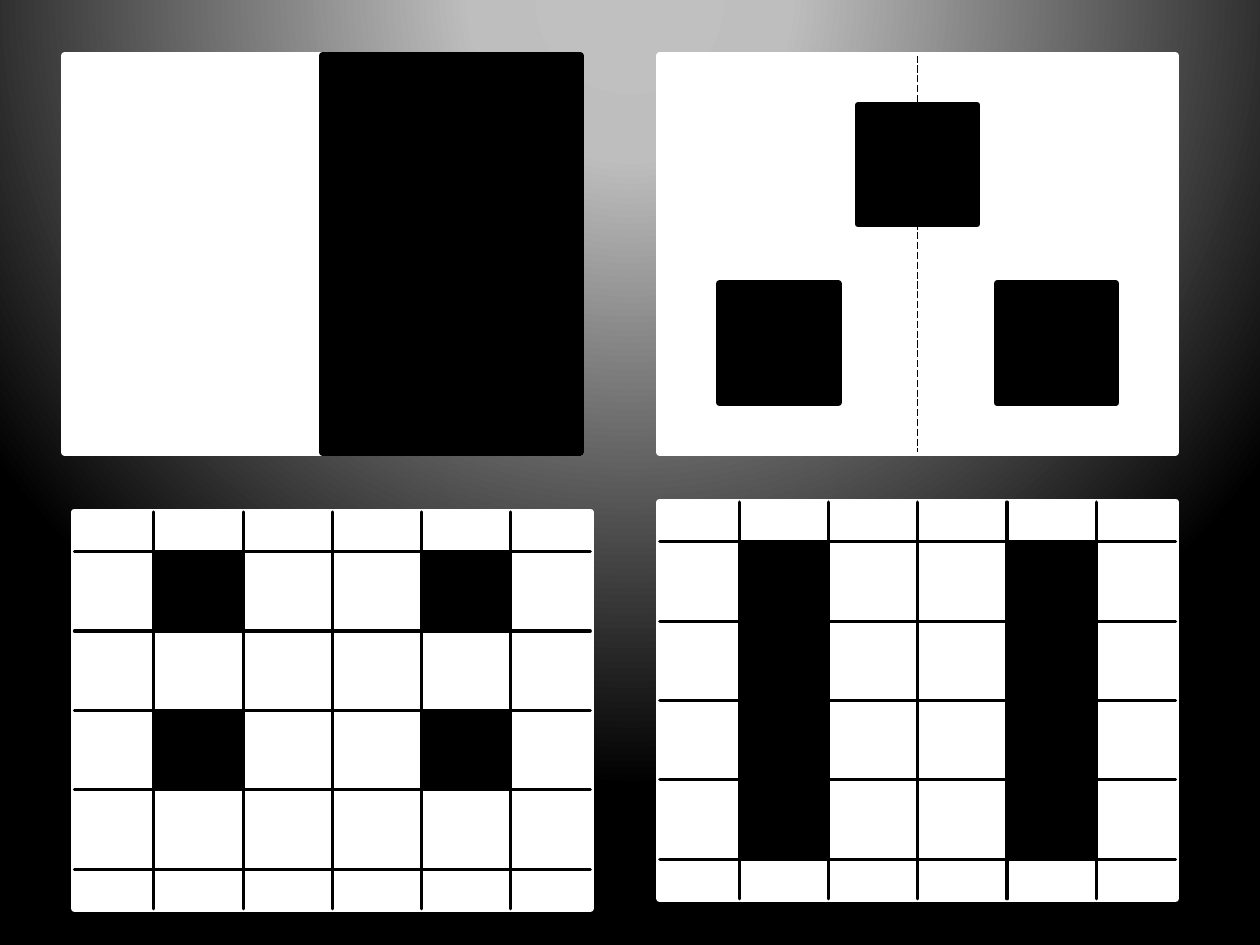
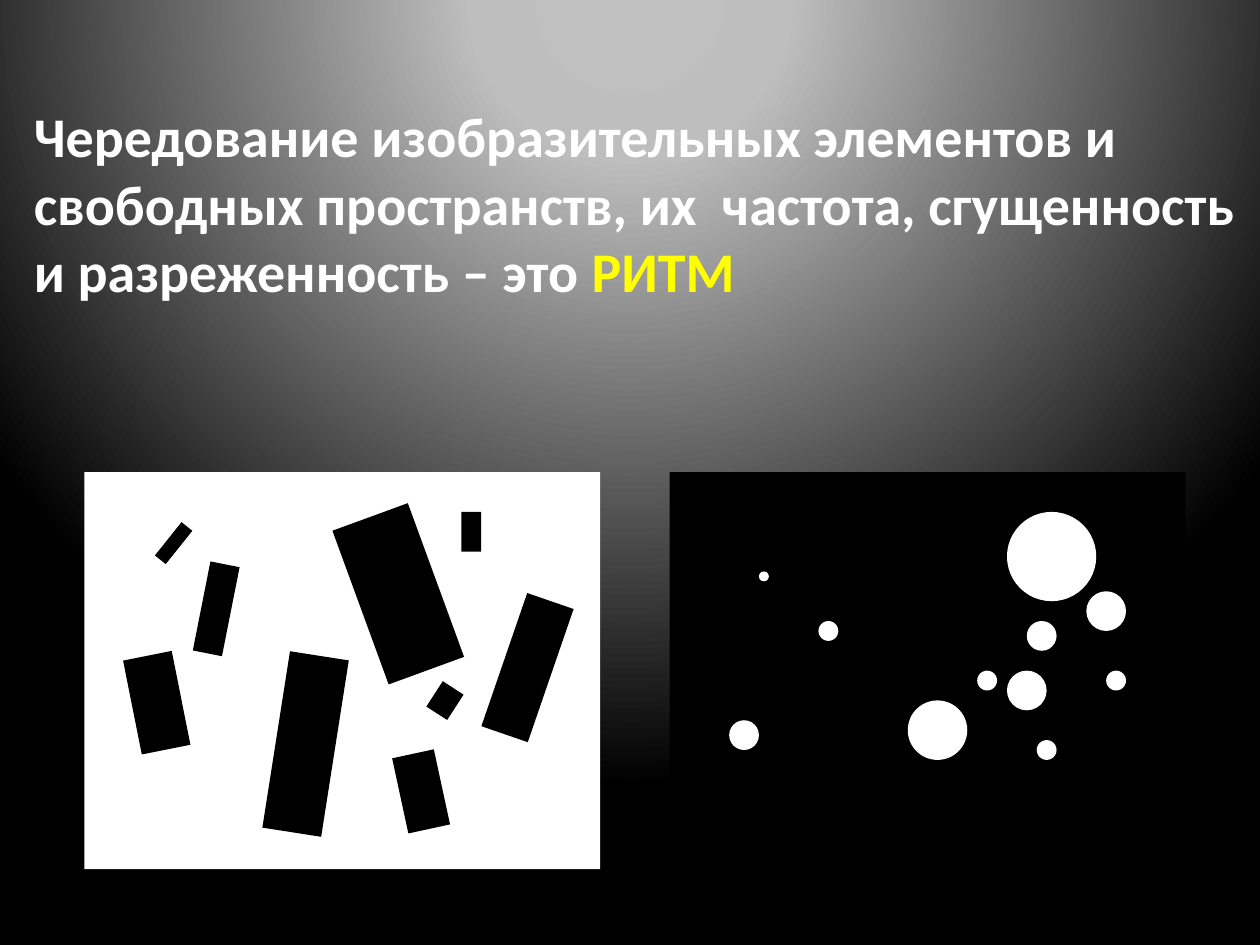
from dataclasses import dataclass
from itertools import product

from lxml import etree
from pptx import Presentation
from pptx.dml.color import RGBColor
from pptx.enum.dml import MSO_LINE
from pptx.enum.shapes import MSO_CONNECTOR, MSO_SHAPE
from pptx.oxml.ns import qn
from pptx.shapes.autoshape import Shape
from pptx.shapes.shapetree import GroupShapes, SlideShapes
from pptx.slide import Slide, SlideMaster
from pptx.util import Inches, Length, Mm, Pt

RECT, OVAL = MSO_SHAPE.RECTANGLE, MSO_SHAPE.OVAL
STRAIGHT, DASH = MSO_CONNECTOR.STRAIGHT, MSO_LINE.LONG_DASH
Tree = SlideShapes | GroupShapes

BLACK, WHITE, YELLOW = "000000", "FFFFFF", "FFFF00"
FONT = "Calibri"
EDGE = 3.78  # panel outline, points

# Every panel is 52 x 40 units of a 2 mm grid
WIDE, HIGH = 52, 40
CELL_W, CELL_H = 9, 8
COLS = [8 + CELL_W * i for i in range(5)]
ROWS = [4 + CELL_H * i for i in range(5)]


@dataclass(frozen=True)
class Panel:
    """Top left corner of a panel, in grid units."""
    left: float
    top: float


@dataclass(frozen=True)
class Block:
    """Figure measured in grid units from the corner of its panel."""
    left: float
    top: float
    wide: float
    high: float
    turn: float = 0


FULL = Block(0, 0, WIDE, HIGH)
HALF = Block(WIDE / 2, 0, WIDE / 2, HIGH)
SQUARES = [Block(x, y, 12, 12) for x, y in ((6, 23), (34, 23), (20, 5))]
BARS = [
    Block(27.6, 4, 8.1, 16.5, -20.1),
    Block(38, 4, 2, 4),
    Block(31.8, 28.3, 4.3, 7.75, -12.2),
    Block(42.2, 12.6, 4.95, 14.2, 19),
    Block(19.3, 18.4, 6, 18, 8.9),
    Block(35.1, 21.5, 2.5, 3.05, 32.9),
    Block(4.8, 18.4, 5, 9.65, -11.3),
    Block(11.8, 9.2, 3, 9.15, 11.2),
    Block(8.3, 5, 1.4, 4.3, 38.6),
]
# Left, top and diameter of each dot
DOTS = [
    (9, 10, 1), (15, 15, 2), (6, 25, 3), (36, 15, 3), (31, 20, 2), (42, 12, 4),
    (24, 23, 6), (34, 4, 9), (34, 20, 4), (44, 20, 2), (37, 27, 2),
]
STOPS = [(0, "C0C0C0"), (12, "C0C0C0"), (20, "BEBEBE"), (100, BLACK)]


def unit(count: float) -> Length:
    return Mm(2 * count)


def rgb(code: str) -> RGBColor:
    return RGBColor.from_string(code)


def glow(master: SlideMaster) -> None:
    """Give all slides the round gradient that shines from the top."""
    master.background.fill.gradient()
    grad = master.element.find(".//" + qn("a:gradFill"))
    for child in list(grad):
        grad.remove(child)
    stops = etree.SubElement(grad, qn("a:gsLst"))
    for share, code in STOPS:
        stop = etree.SubElement(stops, qn("a:gs"), pos=str(share * 1000))
        etree.SubElement(stop, qn("a:srgbClr"), val=code)
    way = etree.SubElement(grad, qn("a:path"), path="circle")
    etree.SubElement(way, qn("a:fillToRect"),
                     l="10000", t="-25000", r="10000", b="125000")


def draw(tree: Tree, panel: Panel, block: Block, color: str,
         edge: float = 0, kind: MSO_SHAPE = RECT) -> Shape:
    shape = tree.add_shape(
        kind, unit(panel.left + block.left), unit(panel.top + block.top),
        unit(block.wide), unit(block.high))
    shape.rotation = block.turn
    shape.shadow.inherit = False
    shape.fill.solid()
    shape.fill.fore_color.rgb = rgb(color)
    if edge:
        shape.line.color.rgb = rgb(color)
        shape.line.width = Pt(edge)
    else:
        shape.line.fill.background()
    return shape


def rule(tree: Tree, panel: Panel, start: tuple[float, float],
         end: tuple[float, float], width: float, dash: bool = False) -> None:
    line = tree.add_connector(
        STRAIGHT, unit(panel.left + start[0]), unit(panel.top + start[1]),
        unit(panel.left + end[0]), unit(panel.top + end[1]))
    line.line.color.rgb = rgb(BLACK)
    line.line.width = Pt(width)
    props = line.element.spPr
    if dash:
        line.line.dash_style = DASH
    else:
        props.find(qn("a:ln")).set("cap", "rnd")
    etree.SubElement(props, qn("a:effectLst"))


def lattice(slide: Slide, panel: Panel, picks: list[int]) -> None:
    """Draw a ruled panel with the picked rows of two columns filled."""
    tree = slide.shapes.add_group_shape().shapes
    draw(tree, panel, FULL, WHITE, EDGE)
    for x in COLS:
        rule(tree, panel, (x, 0), (x, HIGH), 1.75)
    for y in ROWS:
        rule(tree, panel, (0, y), (WIDE, y), 1.75)
    for col, row in product((0, 3), picks):
        draw(tree, panel, Block(COLS[col], ROWS[row], CELL_W, CELL_H), BLACK)


def balance(slide: Slide) -> None:
    """Slide 1: halves, symmetry and two lattices."""
    tree = slide.shapes
    halves, mirror = Panel(6.5, 5.6), Panel(66.5, 5.6)
    draw(tree, halves, FULL, WHITE, EDGE)
    draw(tree, halves, HALF, BLACK, EDGE)

    draw(tree, mirror, FULL, WHITE, EDGE)
    rule(tree, mirror, (WIDE / 2, 0), (WIDE / 2, HIGH), 0.5, dash=True)
    for square in SQUARES:
        draw(tree, mirror, square, BLACK, EDGE)

    lattice(slide, Panel(7.5, 51.6), [0, 2])
    lattice(slide, Panel(66.5, 50.6), [0, 1, 2, 3])


def rhythm(slide: Slide) -> None:
    """Slide 2: definition of rhythm above two examples."""
    tree = slide.shapes
    night, day = Panel(67.5, 47.6), Panel(8.5, 47.6)
    draw(tree, night, FULL, BLACK)
    draw(tree, day, FULL, WHITE)
    for bar in BARS:
        draw(tree, day, bar, BLACK)
    for x, y, size in DOTS:
        draw(tree, night, Block(x, y, size, size), WHITE, kind=OVAL)

    # Definition
    box = tree.add_textbox(Inches(0.17), Inches(0.76), Inches(9.8), Inches(1.72))
    box.text_frame.word_wrap = True
    para = box.text_frame.paragraphs[0]
    para.font.name, para.font.size, para.font.bold = FONT, Pt(32), True
    words = [
        ("Чередование изобразительных элементов и свободных пространств, "
         "их  частота, сгущенность и разреженность – это ", WHITE),
        ("РИТМ", YELLOW),
    ]
    for text, color in words:
        run = para.add_run()
        run.text = text
        run.font.color.rgb = rgb(color)


def main() -> None:
    deck = Presentation()
    deck.slide_width, deck.slide_height = Inches(10), Inches(7.5)
    glow(deck.slide_master)
    blank = deck.slide_layouts[6]
    for build in (balance, rhythm):
        build(deck.slides.add_slide(blank))
    deck.save("out.pptx")


if __name__ == "__main__":
    main()
